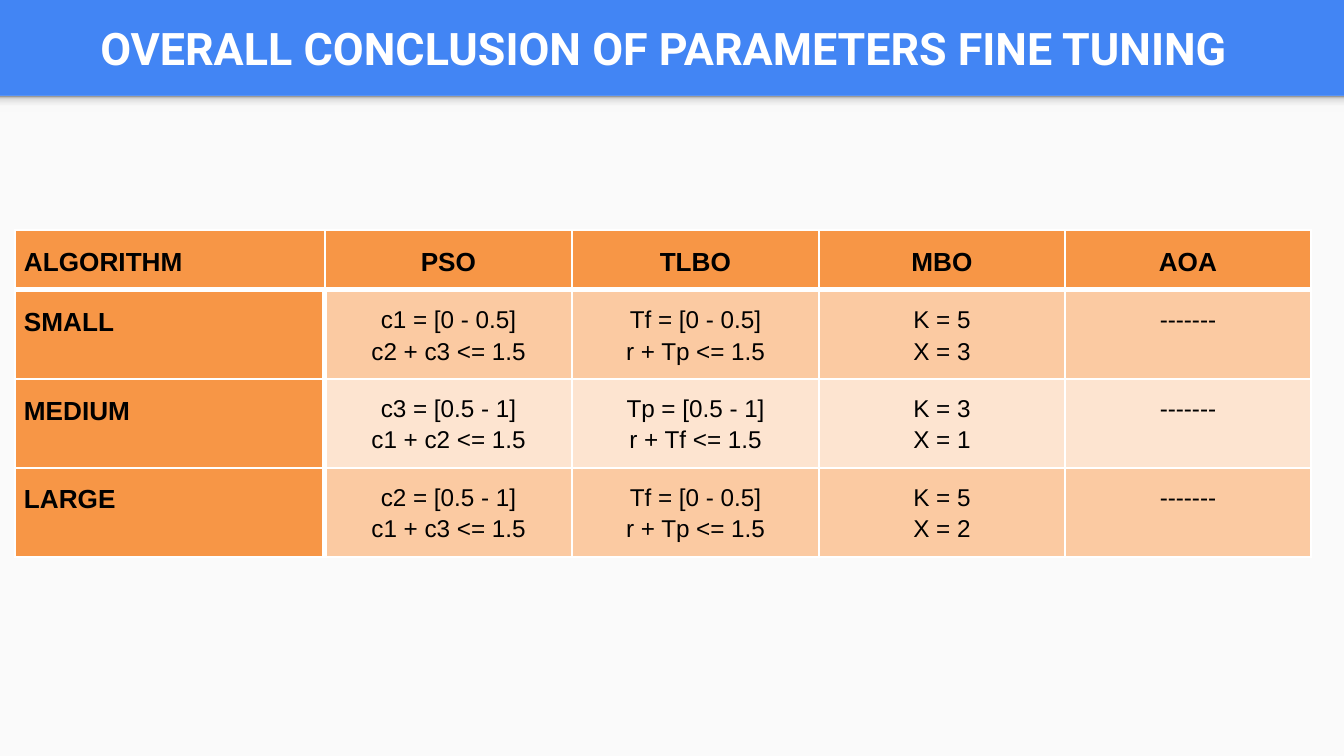
import pptx
import pptx.dml.color
import pptx.enum.shapes
import pptx.enum.text
import pptx.oxml
import pptx.oxml.ns
import pptx.util

RGBColor = pptx.dml.color.RGBColor
BLUE = RGBColor(0x42, 0x85, 0xF4)
WHITE = RGBColor(0xFF, 0xFF, 0xFF)
BLACK = RGBColor(0, 0, 0)
PAPER = RGBColor(0xFA, 0xFA, 0xFA)
ORANGE = RGBColor(0xF7, 0x96, 0x46)
PEACH = RGBColor(0xFB, 0xCA, 0xA2)
PALE_PEACH = RGBColor(0xFD, 0xE4, 0xD0)
SHADOW_STOPS = [
    (0, RGBColor(0xF9, 0xF9, 0xF9)),
    (36, RGBColor(0xF9, 0xF9, 0xF9)),
    (80, RGBColor(0xDE, 0xDE, 0xDE)),
    (100, RGBColor(0x99, 0x99, 0x99)),
]
ROWS = [
    ["ALGORITHM", "PSO", "TLBO", "MBO", "AOA"],
    ["SMALL", "c1 = [0 - 0.5]\nc2 + c3 <= 1.5", "Tf = [0 - 0.5]\nr + Tp <= 1.5", "K = 5\nX = 3", "-------"],
    ["MEDIUM", "c3 = [0.5 - 1]\nc1 + c2 <= 1.5", "Tp = [0.5 - 1]\nr + Tf <= 1.5", "K = 3\nX = 1", "-------"],
    ["LARGE", "c2 = [0.5 - 1]\nc1 + c3 <= 1.5", "Tf = [0 - 0.5]\nr + Tp <= 1.5", "K = 5\nX = 2", "-------"],
]
COLUMN_WIDTHS = [310, 247, 247, 246, 246]
ROW_HEIGHTS = [60, 89, 89, 89]


def px(length):
    return pptx.util.Emu(round(length * 914400 / 134.4))


def set_border(cell, side, width):
    border = pptx.oxml.parse_xml(
        f'<a:ln{side} {pptx.oxml.ns.nsdecls("a")} w="{pptx.util.Pt(width)}">'
        f'<a:solidFill><a:srgbClr val="{WHITE}"/></a:solidFill></a:ln{side}>'
    )
    cell._tc.get_or_add_tcPr().append(border)


presentation = pptx.Presentation()
presentation.slide_width = px(1344)
presentation.slide_height = px(756)
slide = presentation.slides.add_slide(presentation.slide_layouts[5])
slide.background.fill.solid()
slide.background.fill.fore_color.rgb = BLUE

rectangle = pptx.enum.shapes.MSO_SHAPE.RECTANGLE
body = slide.shapes.add_shape(rectangle, 0, px(96), px(1344), px(660))
body.fill.solid()
body.fill.fore_color.rgb = PAPER

header_shadow = slide.shapes.add_shape(rectangle, 0, px(96), px(1344), px(16))
header_shadow.fill.gradient()
header_shadow.fill.gradient_angle = 90
stop_list = header_shadow._element.spPr.find(".//" + pptx.oxml.ns.qn("a:gsLst"))
for stop in list(stop_list):
    stop_list.remove(stop)
for position, color in SHADOW_STOPS:
    stop_list.append(pptx.oxml.parse_xml(
        f'<a:gs {pptx.oxml.ns.nsdecls("a")} pos="{position * 1000}"><a:srgbClr val="{color}"/></a:gs>'
    ))

for shape in (body, header_shadow):
    shape.shadow.inherit = False
    shape.line.fill.background()

title = slide.shapes.title
title.left, title.top, title.width, title.height = px(15), px(3), px(1297), px(89)
title.text_frame.text = "OVERALL CONCLUSION OF PARAMETERS FINE TUNING"
title.text_frame.vertical_anchor = pptx.enum.text.MSO_ANCHOR.MIDDLE
title_paragraph = title.text_frame.paragraphs[0]
title_paragraph.alignment = pptx.enum.text.PP_ALIGN.CENTER
title_font = title_paragraph.runs[0].font
title_font.name = "Roboto"
title_font.size = pptx.util.Pt(24)
title_font.bold = True
title_font.color.rgb = WHITE

table = slide.shapes.add_table(
    len(ROWS), len(COLUMN_WIDTHS), px(15), px(230), px(sum(COLUMN_WIDTHS)), px(sum(ROW_HEIGHTS))
).table
table.horz_banding = False
for column, width in zip(table.columns, COLUMN_WIDTHS):
    column.width = px(width)

for row_index, (labels, height) in enumerate(zip(ROWS, ROW_HEIGHTS)):
    table.rows[row_index].height = px(height)
    for column_index, label in enumerate(labels):
        cell = table.cell(row_index, column_index)
        is_heading = row_index == 0 or column_index == 0
        set_border(cell, "L", 3 if row_index > 0 and column_index == 1 else 1)
        set_border(cell, "R", 3 if row_index > 0 and column_index == 0 else 1)
        set_border(cell, "T", 3 if row_index == 1 else 1)
        set_border(cell, "B", 3 if row_index == 0 else 1)
        cell.fill.solid()
        if is_heading:
            cell.fill.fore_color.rgb = ORANGE
        else:
            cell.fill.fore_color.rgb = PEACH if row_index % 2 else PALE_PEACH
        cell.margin_left = cell.margin_right = px(9)
        cell.margin_top = cell.margin_bottom = px(13)
        cell.text_frame.text = label
        for paragraph in cell.text_frame.paragraphs:
            paragraph.line_spacing = 1.15
            if column_index > 0:
                paragraph.alignment = pptx.enum.text.PP_ALIGN.CENTER
            font = paragraph.runs[0].font
            font.name = "Arial"
            font.size = pptx.util.Pt(14 if is_heading else 13)
            font.bold = is_heading
            font.color.rgb = BLACK

presentation.save("out.pptx")
